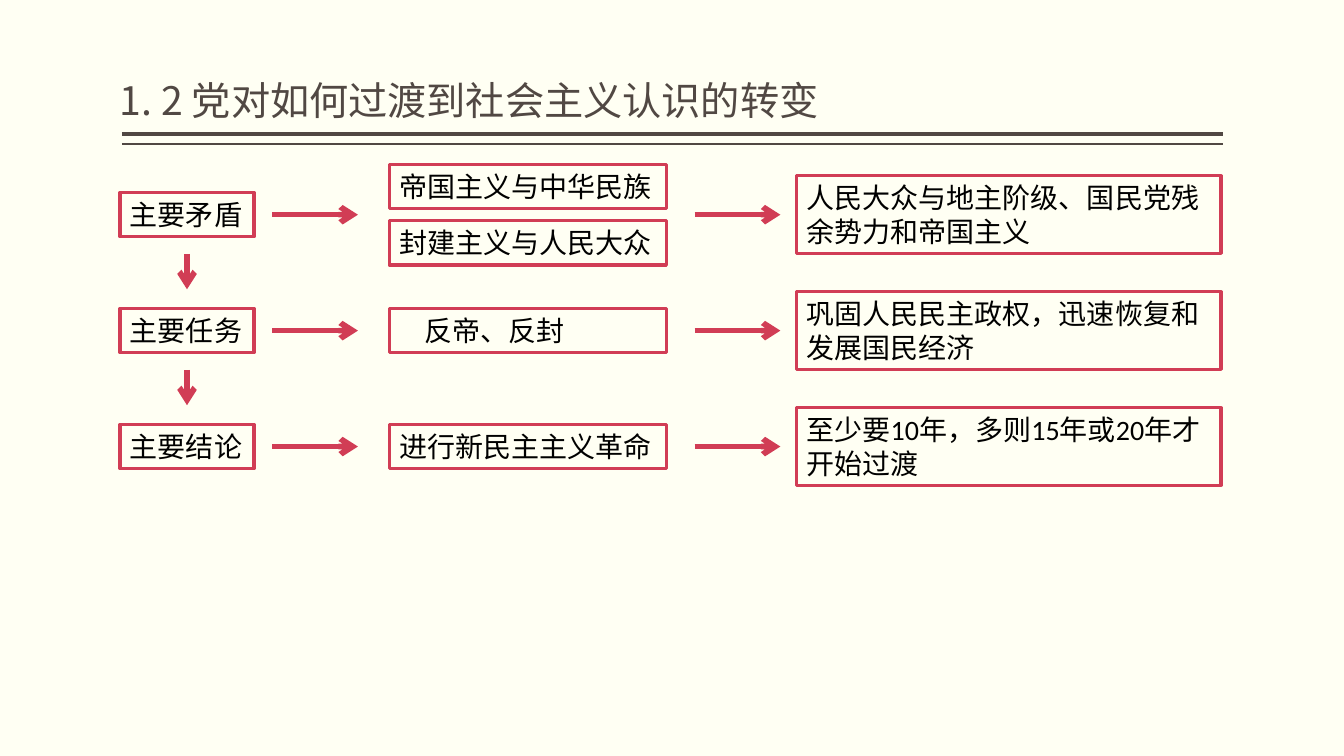
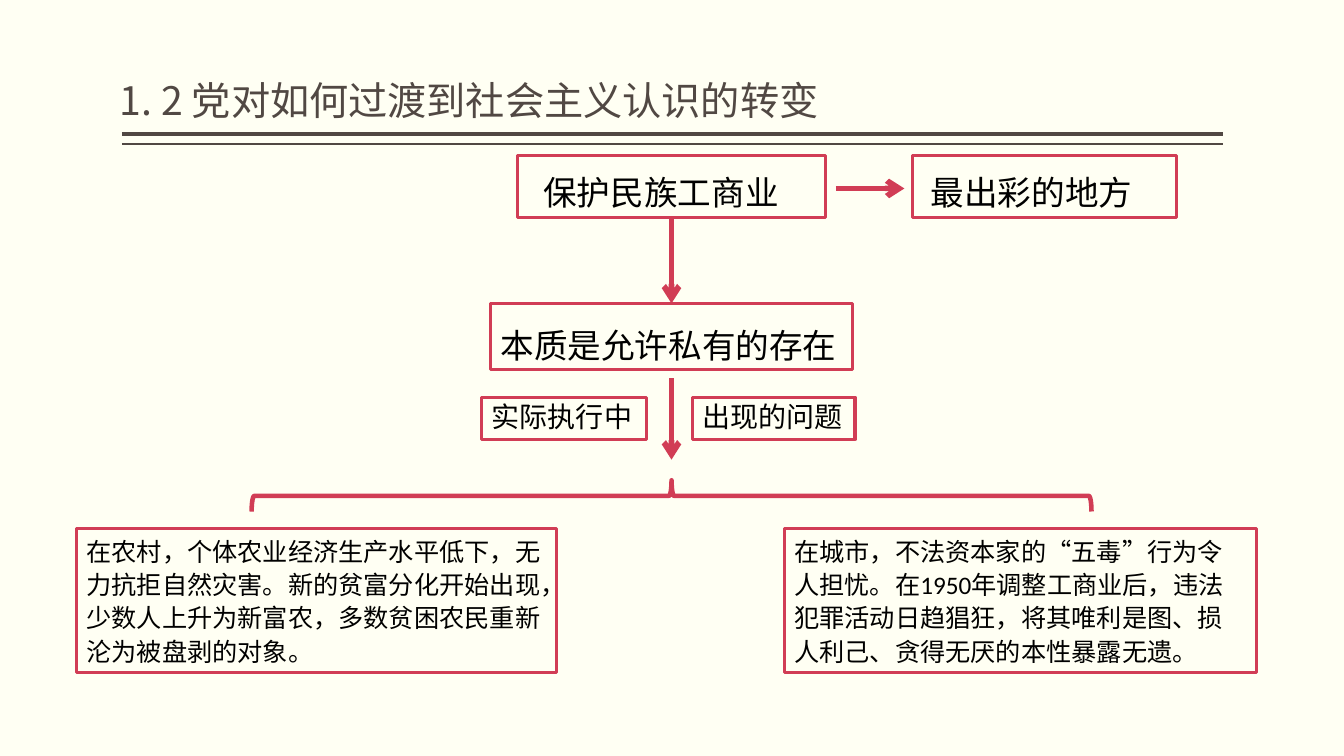
from dataclasses import dataclass

from lxml.etree import SubElement
from pptx import Presentation
from pptx.dml.color import RGBColor
from pptx.enum.shapes import MSO_CONNECTOR as Connector, MSO_SHAPE as Preset
from pptx.enum.text import MSO_ANCHOR as Anchor, PP_ALIGN as Align
from pptx.oxml.ns import qn
from pptx.util import Inches, Pt


@dataclass(frozen=True)
class Theme:
    paper: RGBColor = RGBColor.from_string("FFFFF3")
    brown: RGBColor = RGBColor.from_string("514843")
    red: RGBColor = RGBColor.from_string("D13D55")
    black: RGBColor = RGBColor.from_string("000000")
    title_font: str = "Noto Sans CJK SC"
    body_font: str = "Calibri"
    title_size: float = 28
    key_size: float = 24
    body_size: float = 20
    detail_size: float = 18
    box_line: float = 2.25
    brace_line: float = 3.25
    arrow_line: float = 4


THEME = Theme()
TITLE = "1. 2 党对如何过渡到社会主义认识的转变"
LEFT, CONTENT_WIDTH = 1.19, 10.92
INSET = 0.1

# Flow grid of the first slide: (left, width) of each column, centre of each row
TOPIC, STAGE, OUTCOME = (LEFT, 1.33), (3.86, 2.75), (7.9, 4.21)
ARROW_LEFTS, ARROW_LENGTH = (2.7, 6.89), 0.85
FIRST_ROW, ROW_PITCH = 2.13, 1.15
ONE_LINE, TWO_LINES = 0.44, 0.77
STACK_OFFSET = 0.28

# Centre line and rows of the second slide
AXIS = 6.66
POLICY_TOP, POLICY_HEIGHT = 1.54, 0.62
ESSENCE_TOP, ESSENCE_HEIGHT = 3.01, 0.66
LABEL_TOP, LABEL_HEIGHT = 3.94, 0.42
BRACE_MIDDLE, BRACE_SPAN, BRACE_DEPTH = 4.92, 8.33, 0.31
DETAIL_TOP, DETAIL_HEIGHT = 5.24, 1.43

FLOW = [
    ("主要矛盾", ["帝国主义与中华民族", "封建主义与人民大众"],
     "人民大众与地主阶级、国民党残余势力和帝国主义"),
    ("主要任务", ["反帝、反封"], "巩固人民民主政权，迅速恢复和发展国民经济"),
    ("主要结论", ["进行新民主主义革命"], "至少要10年，多则15年或20年才开始过渡"),
]
LABELS = [(4.78, 1.63, "实际执行中"), (6.87, 1.61, "出现的问题")]
DETAILS = [
    (0.76, 4.76, "在农村，个体农业经济生产水平低下，无力抗拒自然灾害。新的贫富分化开始出现，"
                 "少数人上升为新富农，多数贫困农民重新沦为被盘剥的对象。"),
    (7.78, 4.68, "在城市，不法资本家的“五毒”行为令人担忧。在1950年调整工商业后，"
                 "违法犯罪活动日趋猖狂，将其唯利是图、损人利己、贪得无厌的本性暴露无遗。"),
]


def add_line(slide, start, end, color, width):
    points = [Inches(value) for value in (*start, *end)]
    line = slide.shapes.add_connector(Connector.STRAIGHT, *points)
    line.line.color.rgb = color
    line.line.width = Pt(width)
    SubElement(line.element.spPr, qn("a:effectLst"))
    return line


def add_arrow(slide, start, end):
    arrow = add_line(slide, start, end, THEME.red, THEME.arrow_line)
    outline = arrow.element.spPr.find(qn("a:ln"))
    SubElement(outline, qn("a:tailEnd"), type="arrow")
    return arrow


def add_box(slide, column, top, height, text, size=THEME.body_size,
            spacing=1.0, indent=0.0):
    left, width = column
    box = slide.shapes.add_textbox(Inches(left), Inches(top), Inches(width), Inches(height))
    box.line.color.rgb = THEME.red
    box.line.width = Pt(THEME.box_line)
    frame = box.text_frame
    frame.word_wrap = True
    frame.margin_left = Inches(INSET + indent)
    paragraph = frame.paragraphs[0]
    paragraph.text = text
    paragraph.line_spacing = spacing
    paragraph.font.name = THEME.body_font
    paragraph.font.size = Pt(size)
    paragraph.font.color.rgb = THEME.black
    return box


def add_brace(slide):
    """Add a left brace turned to point up at the centre line."""
    brace = slide.shapes.add_shape(
        Preset.LEFT_BRACE,
        Inches(AXIS - BRACE_DEPTH / 2), Inches(BRACE_MIDDLE - BRACE_SPAN / 2),
        Inches(BRACE_DEPTH), Inches(BRACE_SPAN))
    brace.rotation = 90
    brace.shadow.inherit = False
    brace.fill.background()
    brace.line.color.rgb = THEME.red
    brace.line.width = Pt(THEME.brace_line)


def prepare_layout(presentation):
    """Give the title-only layout its paper colour, title frame and double rule."""
    fill = presentation.slide_master.background.fill
    fill.solid()
    fill.fore_color.rgb = THEME.paper
    layout = presentation.slide_layouts.get_by_name("Title Only")
    title = layout.placeholders[0]
    title.left, title.top = Inches(LEFT), Inches(0.08)
    title.width, title.height = Inches(CONTENT_WIDTH), Inches(1.2)
    frame = title.text_frame
    frame.vertical_anchor = Anchor.BOTTOM
    frame.margin_left = frame.margin_right = 0
    return layout


def add_rules(slide):
    """Draw the double rule and move it to the layout, so that all slides share it."""
    for height, width in ((1.33, 3), (1.43, 1)):
        rule = add_line(slide, (1.21, height), (12.13, height), THEME.brown, width)
        slide.slide_layout.shapes.element.append(rule.element)


def add_slide(presentation, layout):
    slide = presentation.slides.add_slide(layout)
    paragraph = slide.shapes.title.text_frame.paragraphs[0]
    paragraph.text = TITLE
    paragraph.alignment = Align.LEFT
    paragraph.line_spacing = 0.9
    paragraph.font.name = THEME.title_font
    paragraph.font.size = Pt(THEME.title_size)
    paragraph.font.color.rgb = THEME.brown
    return slide


def draw_flow(slide):
    for row, (topic, stages, outcome) in enumerate(FLOW):
        middle = FIRST_ROW + row * ROW_PITCH
        add_box(slide, TOPIC, middle - ONE_LINE / 2, ONE_LINE, topic)
        for index, stage in enumerate(stages):
            offset = (2 * index - len(stages) + 1) * STACK_OFFSET
            add_box(slide, STAGE, middle + offset - ONE_LINE / 2, ONE_LINE, stage,
                    indent=0.25 if row == 1 else 0)
        add_box(slide, OUTCOME, middle - TWO_LINES / 2, TWO_LINES, outcome)
        for left in ARROW_LEFTS:
            add_arrow(slide, (left, middle), (left + ARROW_LENGTH, middle))
        if row < len(FLOW) - 1:
            center = TOPIC[0] + TOPIC[1] / 2
            add_arrow(slide, (center, middle + 0.39), (center, middle + 0.74))


def draw_policy(slide):
    def centred(width):
        return AXIS - width / 2, width

    policy = add_box(slide, centred(3.06), POLICY_TOP, POLICY_HEIGHT, "保护民族工商业",
                     THEME.key_size, 1.3, indent=0.16)
    add_box(slide, (9.05, 2.62), POLICY_TOP, POLICY_HEIGHT, "最出彩的地方",
            THEME.key_size, 1.3, indent=0.08)
    essence = add_box(slide, centred(3.59), ESSENCE_TOP, ESSENCE_HEIGHT,
                      "本质是允许私有的存在", THEME.key_size, 1.4)
    down = add_arrow(slide, (AXIS, POLICY_TOP + POLICY_HEIGHT), (AXIS, ESSENCE_TOP))
    down.begin_connect(policy, 2)
    down.end_connect(essence, 0)
    add_arrow(slide, (8.29, 1.87), (8.97, 1.87))
    add_arrow(slide, (AXIS, 3.75), (AXIS, 4.56))
    for left, width, text in LABELS:
        add_box(slide, (left, width), LABEL_TOP, LABEL_HEIGHT, text, spacing=0.96)
    add_brace(slide)
    for left, width, text in DETAILS:
        add_box(slide, (left, width), DETAIL_TOP, DETAIL_HEIGHT, text,
                THEME.detail_size, 1.1)


def main():
    presentation = Presentation()
    presentation.slide_width, presentation.slide_height = Inches(13.33), Inches(7.5)
    layout = prepare_layout(presentation)
    flow_slide, policy_slide = [add_slide(presentation, layout) for _ in range(2)]
    add_rules(flow_slide)
    draw_flow(flow_slide)
    draw_policy(policy_slide)
    presentation.save("out.pptx")


if __name__ == "__main__":
    main()
